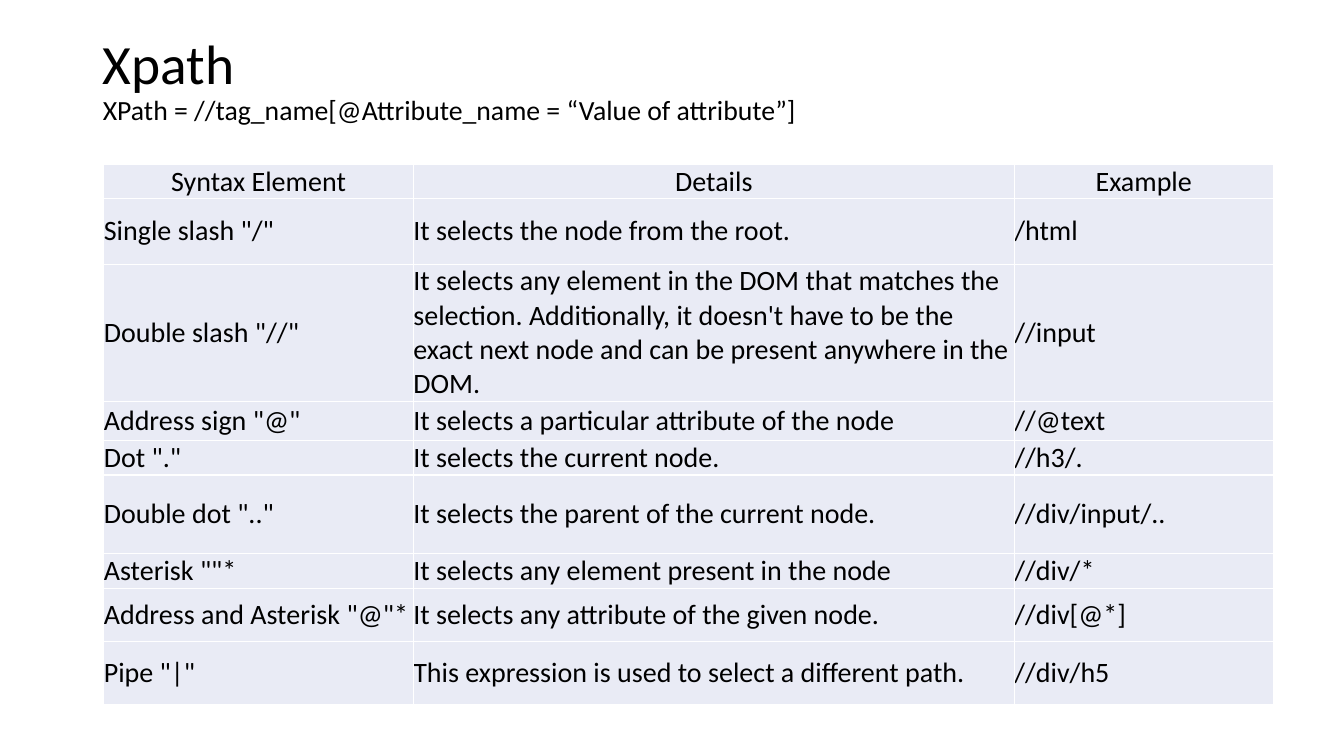
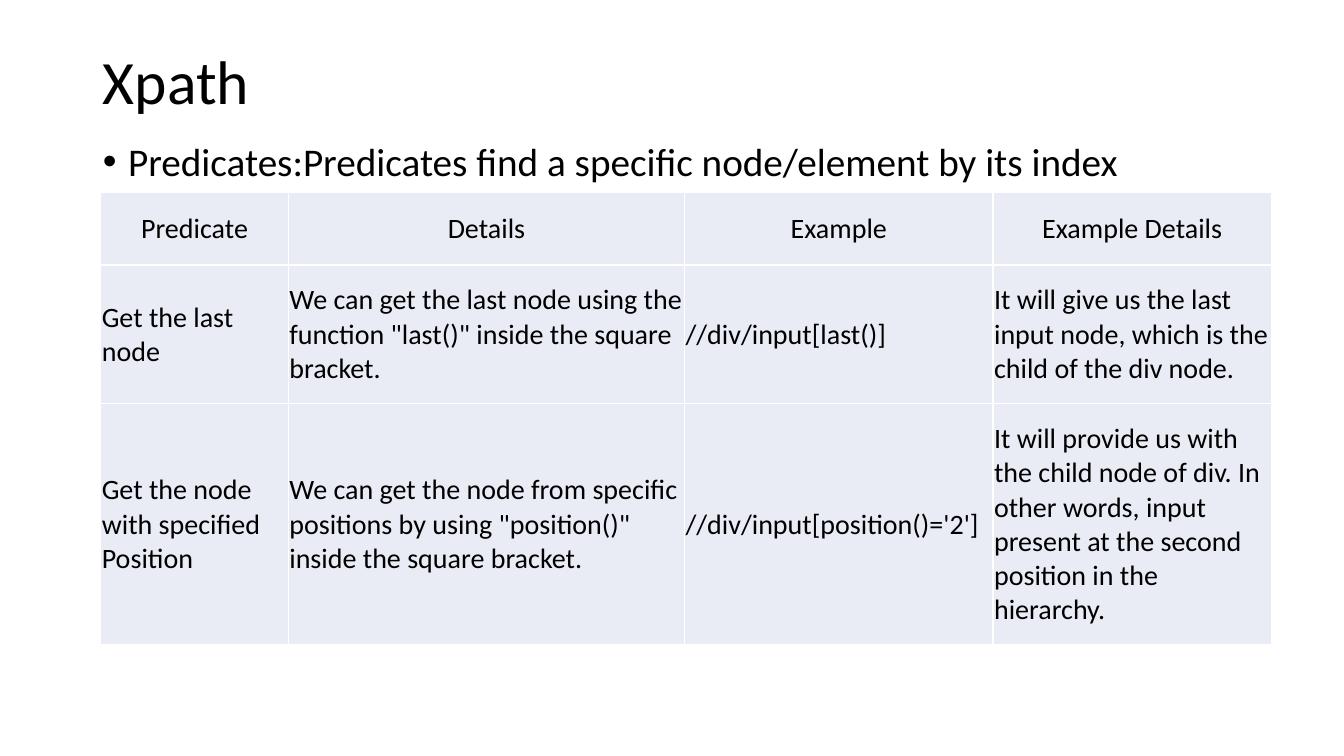
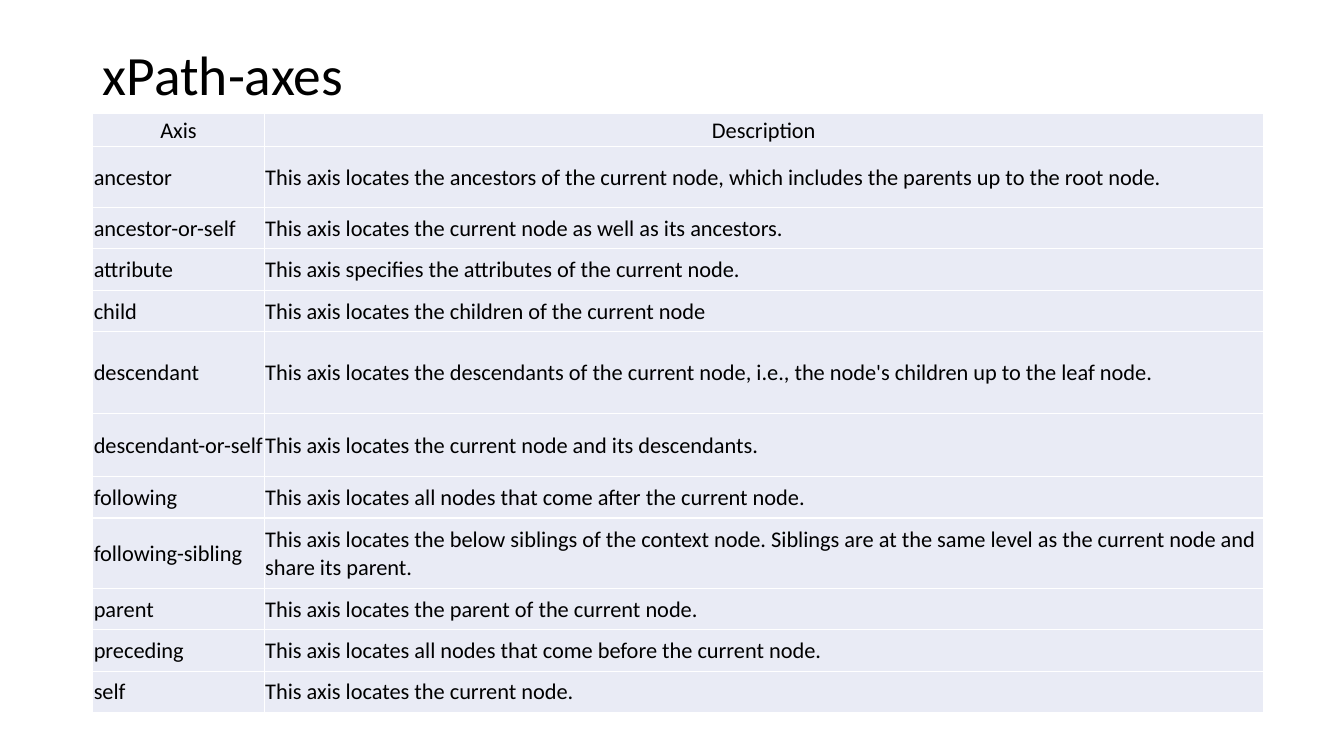
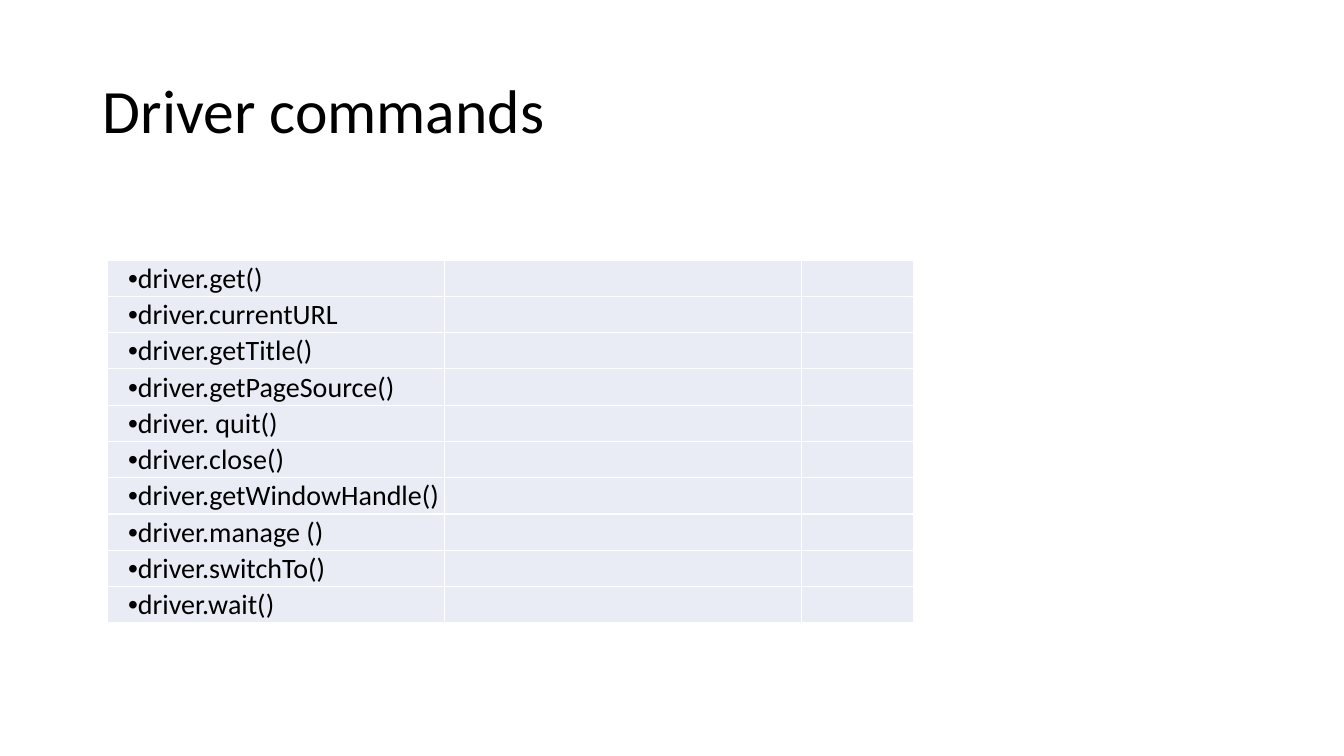
from pptx import Presentation
from pptx.dml.color import RGBColor
from pptx.enum.text import MSO_ANCHOR, MSO_AUTO_SIZE, PP_ALIGN
from pptx.oxml.ns import qn
from pptx.util import Pt
from lxml import etree

PX = 9144
LEFT, CENTER = PP_ALIGN.LEFT, PP_ALIGN.CENTER
MIDDLE, TOP = MSO_ANCHOR.MIDDLE, MSO_ANCHOR.TOP
NO_FIT = MSO_AUTO_SIZE.NONE
COLORS = {"text": "000000", "cell": "E9EBF5"}
FONT = "Calibri"
TITLE_ONLY, TITLE_AND_BODY = 5, 1
MARGIN_X, CONTENT_W = 92, 1150
SIDES = ("left", "top", "right", "bottom")

SYNTAX = [
    ("Syntax Element", "Details", "Example"),
    ('Single slash "/"', "It selects the node from the root.", "/html"),
    ('Double slash "//"',
     "It selects any element in the DOM that matches the selection. Additionally, "
     "it doesn't have to be the exact next node and can be present anywhere in the DOM.",
     "//input"),
    ('Address sign "@"', "It selects a particular attribute of the node", "//@text"),
    ('Dot "."', "It selects the current node.", "//h3/."),
    ('Double dot ".."', "It selects the parent of the current node.", "//div/input/.."),
    ('Asterisk ""*', "It selects any element present in the node", "//div/*"),
    ('Address and Asterisk "@"*', "It selects any attribute of the given node.", "//div[@*]"),
    ('Pipe "|"', "This expression is used to select a different path.", "//div/h5"),
]
PREDICATES = [
    ("Predicate", "Details", "Example", "Example Details"),
    ("Get the last node",
     'We can get the last node using the function "last()" inside the square bracket.',
     "//div/input[last()]",
     "It will give us the last input node, which is the child of the div node."),
    ("Get the node with specified Position",
     'We can get the node from specific positions by using "position()" inside the square bracket.',
     "//div/input[position()='2']",
     "It will provide us with the child node of div. In other words, input present "
     "at the second position in the hierarchy."),
]
AXES = [
    ("Axis", "Description"),
    ("ancestor", "This axis locates the ancestors of the current node, which includes "
                 "the parents up to the root node."),
    ("ancestor-or-self", "This axis locates the current node as well as its ancestors."),
    ("attribute", "This axis specifies the attributes of the current node."),
    ("child", "This axis locates the children of the current node"),
    ("descendant", "This axis locates the descendants of the current node, i.e., "
                   "the node's children up to the leaf node."),
    ("descendant-or-self", "This axis locates the current node and its descendants."),
    ("following", "This axis locates all nodes that come after the current node."),
    ("following-sibling", "This axis locates the below siblings of the context node. Siblings "
                          "are at the same level as the current node and share its parent."),
    ("parent", "This axis locates the parent of the current node."),
    ("preceding", "This axis locates all nodes that come before the current node."),
    ("self", "This axis locates the current node."),
]
COMMANDS = [
    "driver.get()", "driver.currentURL", "driver.getTitle()", "driver.getPageSource()",
    "driver. quit()", "driver.close()", "driver.getWindowHandle()", "driver.manage ()",
    "driver.switchTo()", "driver.wait()",
]


def set_all(obj, values):
    for name, value in values.items():
        setattr(obj, name, value)


def add_run(p, text, size):
    r = p.add_run()
    r.text = text
    set_all(r.font, {"name": FONT, "size": Pt(size), "bold": False})
    r.font.color.rgb = RGBColor.from_string(COLORS["text"])


def set_bullet(p, indent=0):
    pPr = p._p.get_or_add_pPr()
    pPr.set("marL", str(indent * PX))
    pPr.set("indent", str(-indent * PX))
    etree.SubElement(pPr, qn("a:buFont")).set("typeface", "Arial")
    etree.SubElement(pPr, qn("a:buChar")).set("char", "•")


def fill_placeholder(sp, top, height, anchor, lines):
    set_all(sp, {"left": MARGIN_X * PX, "top": top * PX,
                 "width": CONTENT_W * PX, "height": height * PX})
    tf = sp.text_frame
    set_all(tf, {"auto_size": NO_FIT, "word_wrap": True, "vertical_anchor": anchor})
    p = tf.paragraphs[0]
    set_all(p, {"alignment": LEFT, "line_spacing": 0.9})
    for i, (text, size) in enumerate(lines):
        if i:
            p.add_line_break()
        add_run(p, text, size)
    return p


def add_slide(prs, layout, top, height, *title_lines):
    s = prs.slides.add_slide(prs.slide_layouts[layout])
    fill_placeholder(s.shapes.title, top, height, MIDDLE, title_lines)
    return s


def add_body(s, top, height, text, size):
    p = fill_placeholder(s.placeholders[1], top, height, TOP, [(text, size)])
    p.space_before = Pt(10)
    set_bullet(p, 25)


def fill_cell(cell, text, size, insets, header, bullet):
    cell.fill.solid()
    cell.fill.fore_color.rgb = RGBColor.from_string(COLORS["cell"])
    cell.vertical_anchor = MIDDLE
    set_all(cell, {f"margin_{side}": inset * PX for side, inset in zip(SIDES, insets)})
    if text:
        p = cell.text_frame.paragraphs[0]
        p.alignment = CENTER if header else LEFT
        if bullet:
            set_bullet(p)
        add_run(p, text, size)


def add_grid(s, left, top, widths, heights, rows, size, insets=(1, 1, 1, 0),
             header=True, bullets=False):
    table = s.shapes.add_table(len(rows), len(widths), left * PX, top * PX,
                               sum(widths) * PX, sum(heights) * PX).table
    set_all(table, {"first_row": False, "horz_banding": False})
    for column, width in zip(table.columns, widths):
        column.width = width * PX
    for i, (row, height, texts) in enumerate(zip(table.rows, heights, rows)):
        row.height = height * PX
        for cell, text in zip(row.cells, texts):
            fill_cell(cell, text, size, insets, header and i == 0, bullets)


def main():
    prs = Presentation()
    set_all(prs, {"slide_width": 1333 * PX, "slide_height": 750 * PX})

    s = add_slide(prs, TITLE_ONLY, 47, 68, ("Xpath", 39.6),
                  ("XPath = //tag_name[@Attribute_name = “Value of attribute”]", 19.8))
    add_grid(s, 103, 163, [307, 596, 257], [31, 65, 125, 39, 31, 78, 35, 52, 63],
             SYNTAX, 20, insets=(0, 0, 0, 0))

    s = add_slide(prs, TITLE_AND_BODY, 40, 88, ("Xpath", 44))
    add_body(s, 136, 540, "Predicates:Predicates find a specific node/element by its index", 28)
    add_grid(s, 100, 191, [186, 393, 306, 276], [72, 137, 240], PREDICATES, 20)

    s = add_slide(prs, TITLE_ONLY, 40, 73, ("xPath-axes", 39.6))
    add_grid(s, 92, 113, [170, 991], [32, 61, 41, 41, 41, 81, 63, 41, 70, 41, 41, 41], AXES, 16)

    s = add_slide(prs, TITLE_ONLY, 40, 145, ("Driver commands", 44))
    add_grid(s, 107, 258, [334, 354, 111], [36] * len(COMMANDS),
             [(command, "", "") for command in COMMANDS], 20,
             insets=(20, 1, 1, 0), header=False, bullets=True)

    prs.save("out.pptx")


if __name__ == "__main__":
    main()
